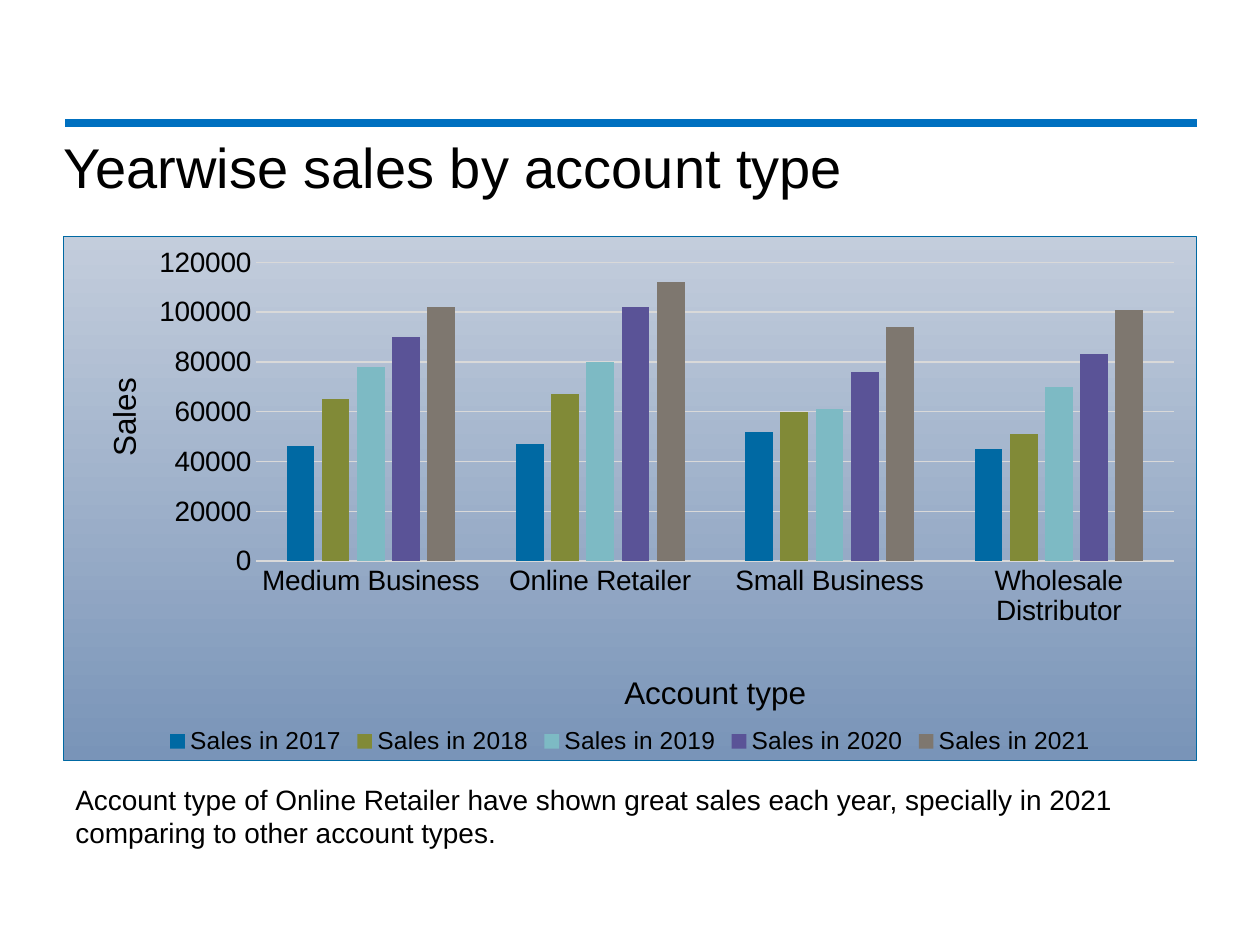
"""Build a slide comparing yearly sales by account type."""
from lxml import etree
from pptx import Presentation
from pptx.chart import data as chart_data
from pptx.dml.color import RGBColor
from pptx.enum import chart as chart_enum, shapes, text
from pptx.oxml import parse_xml
from pptx.oxml.ns import nsdecls, qn
from pptx.util import Pt


def color(value):
    return RGBColor.from_string(value)


def place(element, **fractions):
    layout = element.find(qn("c:layout"))
    if layout is None:
        layout = etree.Element(qn("c:layout"))
        element.insert(0, layout)
    manual = etree.SubElement(layout, qn("c:manualLayout"))
    if "w" in fractions:
        etree.SubElement(manual, qn("c:layoutTarget"), val="inner")
    for name in ("x", "y"):
        etree.SubElement(manual, qn(f"c:{name}Mode"), val="edge")
    for name, fraction in fractions.items():
        etree.SubElement(manual, qn(f"c:{name}"), val=str(fraction))


class SalesPage:
    font_name = "Arial"
    ink = "000000"
    grid = "D9D9D9"

    def __init__(self, deck):
        self.page = deck.slides.add_slide(deck.slide_layouts[5])

    def style(self, font, size):
        font.name = self.font_name
        font.size = Pt(size)
        font.bold = False
        font.color.rgb = color(self.ink)

    def rule(self, left, right, top, width, line_color):
        line = self.page.shapes.add_connector(
            shapes.MSO_CONNECTOR.STRAIGHT, Pt(left), Pt(top), Pt(right), Pt(top))
        line.line.color.rgb = color(line_color)
        line.line.width = Pt(width)
        etree.SubElement(line.element.spPr, qn("a:effectLst"))

    def title(self, words, left, top, width, height):
        box = self.page.shapes.title
        box.left, box.top, box.width, box.height = map(Pt, (left, top, width, height))
        frame = box.text_frame
        frame.text = words
        frame.auto_size = text.MSO_AUTO_SIZE.NONE
        frame.vertical_anchor = text.MSO_ANCHOR.BOTTOM
        frame.margin_left = frame.margin_right = 0
        para = frame.paragraphs[0]
        para.alignment = text.PP_ALIGN.LEFT
        para.line_spacing = 0.9
        self.style(para.font, 32)

    def note(self, words, left, top, width, height):
        box = self.page.shapes.add_textbox(*map(Pt, (left, top, width, height)))
        frame = box.text_frame
        frame.word_wrap = True
        frame.text = words
        self.style(frame.paragraphs[0].font, 16)

    def axis(self, axis, words, x, y):
        axis.major_tick_mark = chart_enum.XL_TICK_MARK.NONE
        self.style(axis.tick_labels.font, 16)
        frame = axis.axis_title.text_frame
        frame.text = words
        self.style(frame.paragraphs[0].font, 18)
        place(axis.axis_title.element, x=x, y=y)

    def gridline(self, line):
        line.color.rgb = color(self.grid)
        line.width = Pt(0.75)

    def chart(self, categories, series, left, top, width, height):
        data = chart_data.CategoryChartData()
        data.categories = categories
        for name, values, _ in series:
            data.add_series(name, values)
        chart = self.page.shapes.add_chart(
            chart_enum.XL_CHART_TYPE.COLUMN_CLUSTERED,
            *map(Pt, (left, top, width, height)), data).chart
        self.style(chart.font, 10)
        chart.has_title = False
        chart.has_legend = True
        chart.legend.position = chart_enum.XL_LEGEND_POSITION.BOTTOM
        chart.legend.include_in_layout = False
        self.style(chart.legend.font, 14)

        plot = chart.plots[0]
        plot.gap_width, plot.overlap = 219, -27
        plot.vary_by_categories = False
        for bars, (_, _, fill) in zip(plot.series, series):
            bars.format.fill.solid()
            bars.format.fill.fore_color.rgb = color(fill)

        self.axis(chart.category_axis, "Account type", 0.49, 0.82)
        self.gridline(chart.category_axis.format.line)
        values = chart.value_axis
        self.axis(values, "Sales", 0.03, 0.26)
        values.minimum_scale, values.maximum_scale, values.major_unit = 0, 120000, 20000
        values.format.line.fill.background()
        self.gridline(values.major_gridlines.format.line)

        body = chart.element.find(qn("c:chart"))
        place(body.find(qn("c:plotArea")), x=0.17, y=0.05, w=0.81, h=0.57)
        body.addnext(self.backdrop("C3CDDC", "7994B8", "0069A3"))

    def backdrop(self, start, end, border):
        return parse_xml(
            f'<c:spPr {nsdecls("c", "a")}><a:gradFill><a:gsLst>'
            f'<a:gs pos="0"><a:srgbClr val="{start}"/></a:gs>'
            f'<a:gs pos="100000"><a:srgbClr val="{end}"/></a:gs>'
            '</a:gsLst><a:lin ang="5400000" scaled="0"/></a:gradFill>'
            f'<a:ln w="{Pt(0.75)}"><a:solidFill><a:srgbClr val="{border}"/>'
            '</a:solidFill></a:ln></c:spPr>')


def main():
    deck = Presentation()
    deck.slide_width, deck.slide_height = Pt(720), Pt(540)
    page = SalesPage(deck)
    page.rule(37.2, 684, 70.4, 4.5, "0070C0")
    page.title("Yearwise sales by account type", 36, 41.8, 634.3, 76.3)
    categories = ["Medium Business", "Online Retailer", "Small Business",
                  "Wholesale Distributor"]
    series = [
        ("Sales in 2017", (46000, 47000, 52000, 45000), "0069A3"),
        ("Sales in 2018", (65000, 67000, 60000, 51000), "818A37"),
        ("Sales in 2019", (78000, 80000, 61000, 70000), "7DBAC4"),
        ("Sales in 2020", (90000, 102000, 76000, 83000), "5A5397"),
        ("Sales in 2021", (102000, 112000, 94000, 101000), "7E776F"),
    ]
    page.chart(categories, series, 36, 134.6, 648, 300.2)
    page.note("Account type of Online Retailer have shown great sales each year, "
              "specially in 2021 comparing to other account types.",
              36, 443.5, 648, 46.1)
    deck.save("out.pptx")


if __name__ == "__main__":
    main()
